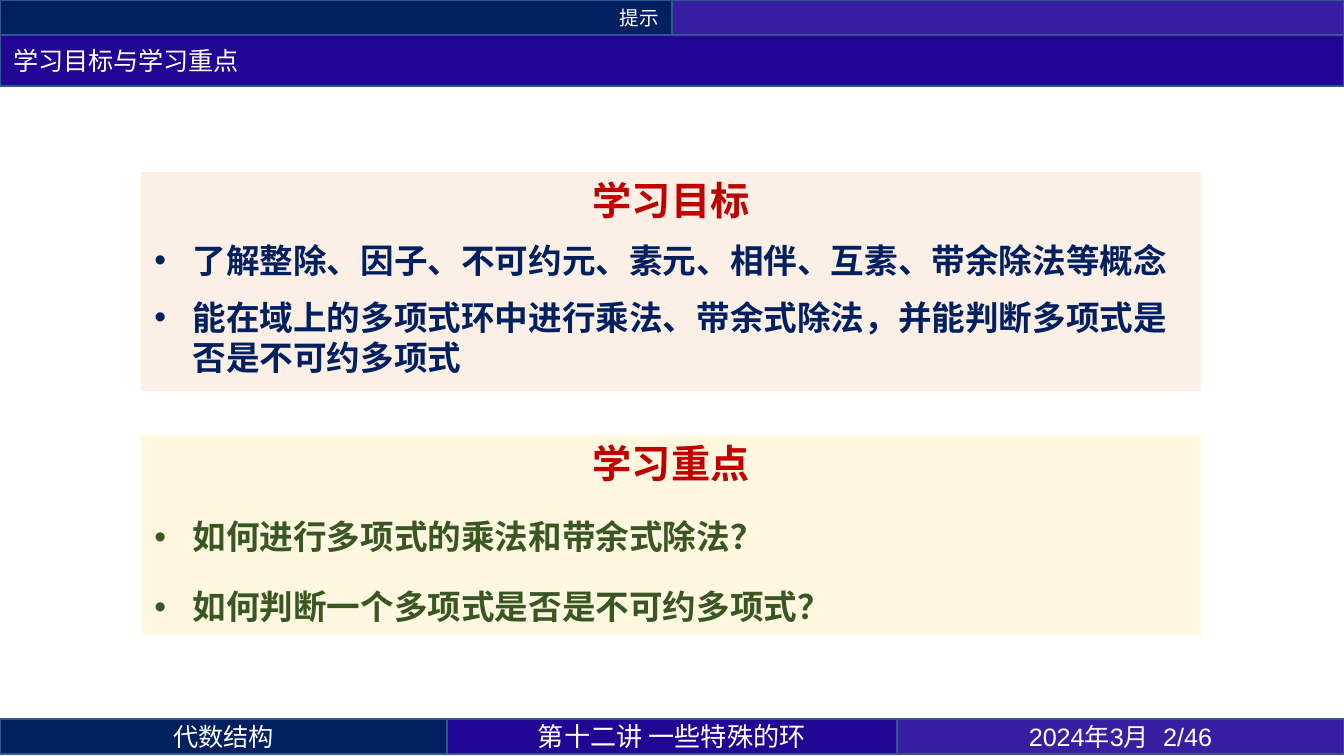
from lxml import etree
from pptx import Presentation
from pptx.dml.color import RGBColor
from pptx.enum.shapes import MSO_SHAPE
from pptx.enum.text import MSO_ANCHOR, MSO_AUTO_SIZE, PP_ALIGN
from pptx.oxml.ns import qn
from pptx.util import Pt

PX = 914400 / 134.4
RECT = MSO_SHAPE.RECTANGLE
MIDDLE, TOP = MSO_ANCHOR.MIDDLE, MSO_ANCHOR.TOP
NO_FIT = MSO_AUTO_SIZE.NONE
LEFT, CENTER, RIGHT = PP_ALIGN.LEFT, PP_ALIGN.CENTER, PP_ALIGN.RIGHT

NAVY = RGBColor(0x00, 0x20, 0x60)
INDIGO = RGBColor(0x21, 0x06, 0x94)
VIOLET = RGBColor(0x37, 0x1E, 0xA2)
EDGE = RGBColor(0x32, 0x54, 0x91)
WHITE = RGBColor(0xFF, 0xFF, 0xFF)
RED = RGBColor(0xC0, 0x00, 0x00)
GREEN = RGBColor(0x38, 0x57, 0x23)
PEACH = RGBColor(0xFB, 0xE5, 0xD6)
CREAM = RGBColor(0xFF, 0xF2, 0xCC)
CJK = "Noto Sans CJK SC"

# Content
WIDTH, HEIGHT = 1344, 756
BAR_HEIGHT, FOOTER_TOP = 35, 719
TITLE = "学习目标与学习重点"
# text, size, font, fill, alignment
HEADER = [
    ("提示", 10.5, CJK, NAVY, RIGHT),
    ("", 10.5, CJK, VIOLET, LEFT),
]
FOOTER = [
    ("代数结构", 13.5, CJK, NAVY, CENTER),
    ("第十二讲 一些特殊的环", 14, CJK, INDIGO, CENTER),
    ("2024年3月\t2/46", 13.5, "Arial", VIOLET, CENTER),
]
HEADER_EDGES = [0, 672, 1344]
FOOTER_EDGES = [0, 447, 897, 1344]
PANEL_LEFT, PANEL_WIDTH, BULLET_INDENT = 141, 1060, 38
PANELS = [
    {"heading": "学习目标", "top": 172, "height": 219, "fill": PEACH,
     "color": NAVY, "pitch": 21.5, "before": 4.5,
     "points": ["了解整除、因子、不可约元、素元、相伴、互素、带余除法等概念",
                "能在域上的多项式环中进行乘法、带余式除法，并能判断多项式是否是不可约多项式"]},
    {"heading": "学习重点", "top": 435, "height": 200, "fill": CREAM,
     "color": GREEN, "pitch": 24, "before": 9,
     "points": ["如何进行多项式的乘法和带余式除法？",
                "如何判断一个多项式是否是不可约多项式？"]},
]


def px(length):
    return round(length * PX)


def apply(target, values):
    for key, value in values.items():
        setattr(target, key, value)


def place(shape, left, top, width, height):
    apply(shape, {"left": px(left), "top": px(top),
                  "width": px(width), "height": px(height)})


def write(paragraph, text, size, font, color, bold=False):
    run = paragraph.add_run()
    run.text = text
    apply(run.font, {"size": Pt(size), "name": font, "bold": bold})
    run.font.color.rgb = color
    east_asian = etree.SubElement(run.font._element, qn("a:ea"))
    east_asian.set("typeface", CJK)


def style_bar(bar, text, size, font, fill, align):
    bar.shadow.inherit = False
    bar.fill.solid()
    bar.fill.fore_color.rgb = fill
    bar.line.color.rgb = EDGE
    bar.line.width = Pt(1)
    apply(bar.text_frame, {"word_wrap": True, "auto_size": NO_FIT,
                           "vertical_anchor": MIDDLE})
    if text:
        paragraph = bar.text_frame.paragraphs[0]
        paragraph.alignment = align
        write(paragraph, text, size, font, WHITE)


def set_bullet(paragraph, bulleted):
    properties = paragraph._p.get_or_add_pPr()
    indent = px(BULLET_INDENT) if bulleted else 0
    properties.set("marL", str(indent))
    properties.set("indent", str(-indent))
    if bulleted:
        etree.SubElement(properties, qn("a:buFont")).set("typeface", "Arial")
        etree.SubElement(properties, qn("a:buChar")).set("char", "•")
    else:
        etree.SubElement(properties, qn("a:buNone"))


def fill_panel(body, panel):
    place(body, PANEL_LEFT, panel["top"], PANEL_WIDTH, panel["height"])
    body.fill.solid()
    body.fill.fore_color.rgb = panel["fill"]
    tint = body._element.spPr.find(".//" + qn("a:srgbClr"))
    etree.SubElement(tint, qn("a:alpha")).set("val", "60000")
    frame = body.text_frame
    apply(frame, {"word_wrap": True, "auto_size": NO_FIT,
                  "vertical_anchor": TOP})
    for index, text in enumerate([panel["heading"]] + panel["points"]):
        is_point = index > 0
        paragraph = frame.add_paragraph() if is_point else frame.paragraphs[0]
        apply(paragraph, {
            "alignment": LEFT if is_point else CENTER,
            "line_spacing": Pt(panel["pitch"] if is_point else 24),
            "space_before": Pt(panel["before"]),
            "space_after": Pt(4.5)})
        set_bullet(paragraph, is_point)
        if is_point:
            write(paragraph, text, 18, "Arial", panel["color"], True)
        else:
            write(paragraph, text, 21, CJK, RED, True)


presentation = Presentation()
presentation.slide_width, presentation.slide_height = px(WIDTH), px(HEIGHT)
slide = presentation.slides.add_slide(presentation.slide_layouts[3])
title, *bodies = slide.placeholders

# Header and footer bars
for bars, edges, top in ((HEADER, HEADER_EDGES, 0),
                         (FOOTER, FOOTER_EDGES, FOOTER_TOP)):
    for bar_content, left, right in zip(bars, edges, edges[1:]):
        bar = slide.shapes.add_shape(RECT, 0, 0, 0, 0)
        place(bar, left, top, right - left, BAR_HEIGHT)
        style_bar(bar, *bar_content)

# Title bar
place(title, 0, BAR_HEIGHT, WIDTH, 51)
style_bar(title, TITLE, 13.5, "Calibri", INDIGO, LEFT)

# Goal and focus panels
for body, panel in zip(bodies, PANELS):
    fill_panel(body, panel)

presentation.save("out.pptx")
